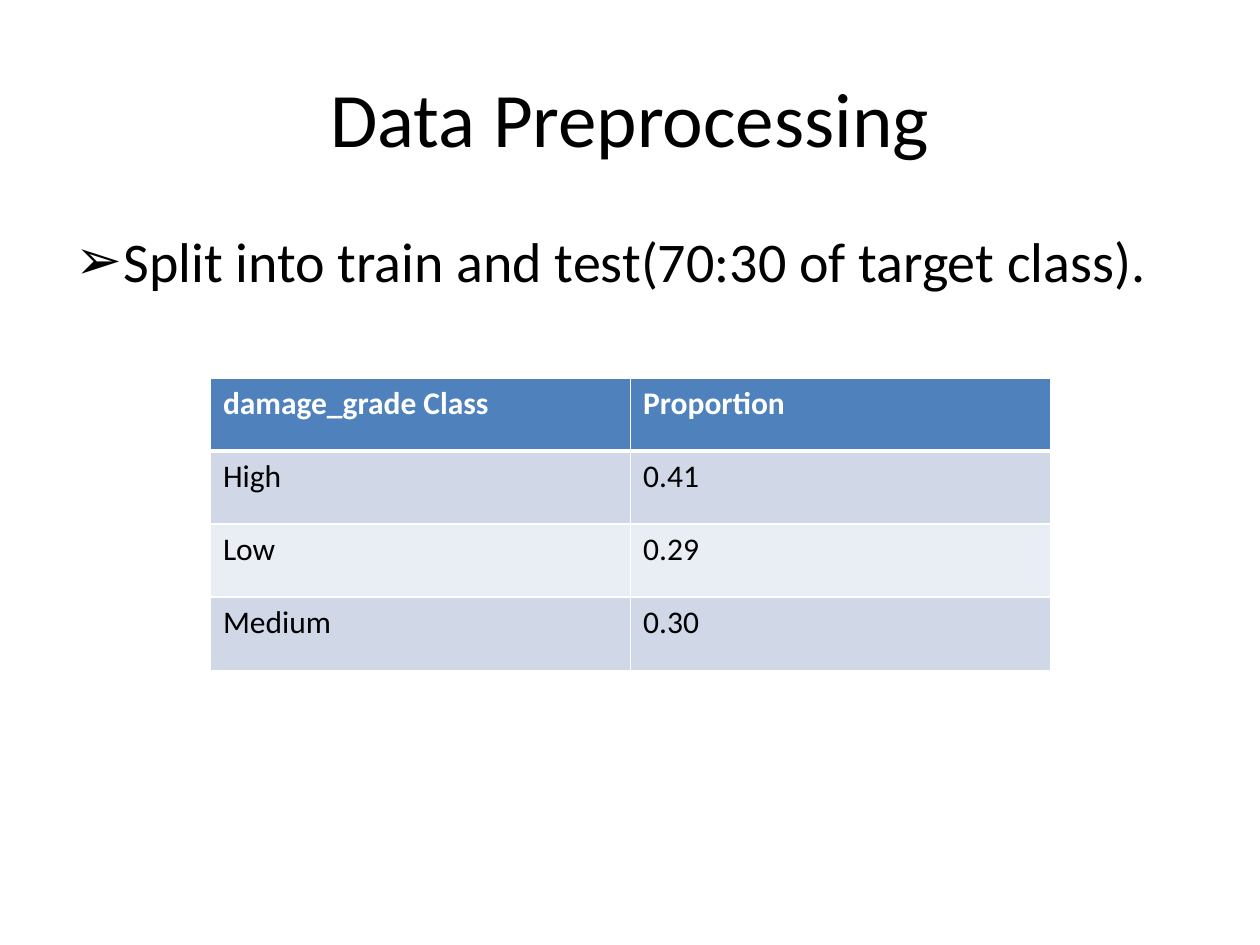
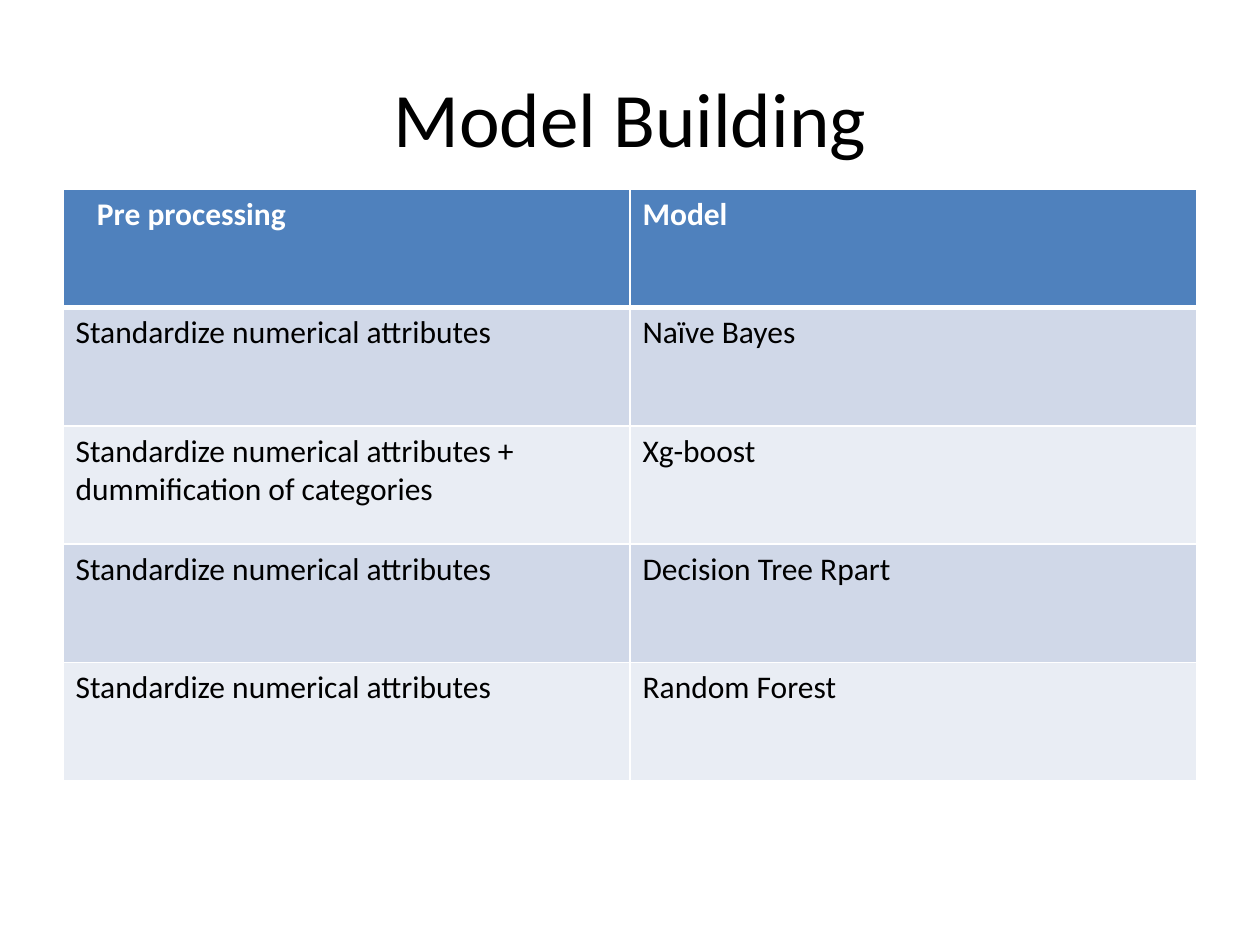
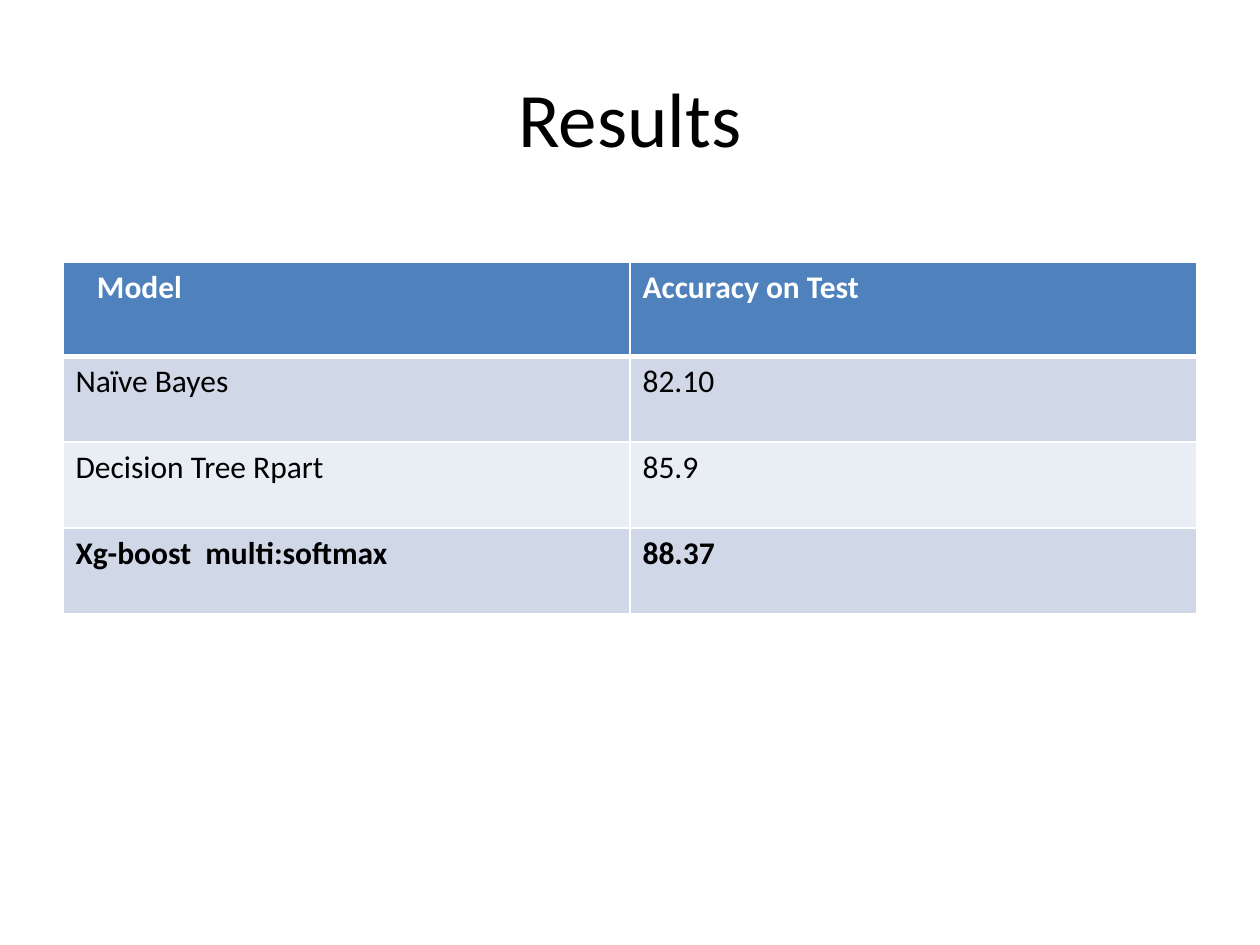
from lxml.etree import SubElement
from pptx import Presentation
from pptx.dml.color import RGBColor
from pptx.enum.text import MSO_ANCHOR, PP_ALIGN
from pptx.oxml.ns import qn
from pptx.util import Inches, Pt

FONT = "Calibri"
BLACK, WHITE = "000000", "FFFFFF"
HEADER_FILL = "4F81BD"
BAND_FILLS = ["D0D8E8", "E9EDF4"]
TITLE_BOX = (0.5, 0.3, 9, 1.25)
BODY_BOX = (0.5, 1.75, 9, 4.95)
TITLE_AND_CONTENT, TITLE_ONLY = 1, 5

SLIDES = [
    {
        "title": "Data Preprocessing",
        "bullet": "Split into train and test(70:30 of target class).",
        "rows": [
            ("damage_grade Class", "Proportion"),
            ("High", "0.41"),
            ("Low", "0.29"),
            ("Medium", "0.30"),
        ],
        "box": (1.67, 3, 6.67), "header_height": 0.58, "row_height": 0.58,
        "header_indent": 0, "bold_rows": [0],
    },
    {
        "title": "Model Building",
        "rows": [
            ("Pre processing", "Model"),
            ("Standardize numerical attributes", "Naïve Bayes"),
            ("Standardize numerical attributes + dummification of categories", "Xg-boost"),
            ("Standardize numerical attributes", "Decision Tree Rpart"),
            ("Standardize numerical attributes", "Random Forest"),
        ],
        "box": (0.5, 1.5, 9), "header_height": 0.94, "row_height": 0.94,
        "header_indent": 0.17, "bold_rows": [0],
    },
    {
        "title": "Results",
        "rows": [
            ("Model", "Accuracy on Test"),
            ("Naïve Bayes", "82.10"),
            ("Decision Tree Rpart", "85.9"),
            ("Xg-boost  multi:softmax", "88.37"),
        ],
        "box": (0.5, 2.08, 9), "header_height": 0.75, "row_height": 0.68,
        "header_indent": 0.17, "bold_rows": [0, 3],
    },
]


def rgb(color):
    return RGBColor.from_string(color)


def style(paragraph, size, color=BLACK, bold=False):
    font = paragraph.font
    font.name, font.size, font.bold = FONT, Pt(size), bold
    font.color.rgb = rgb(color)


def place(placeholder, box):
    placeholder.left, placeholder.top, placeholder.width, placeholder.height = map(Inches, box)


def add_title(slide, text):
    title = slide.shapes.title
    place(title, TITLE_BOX)
    title.text_frame.text = text
    title.text_frame.vertical_anchor = MSO_ANCHOR.MIDDLE
    heading = title.text_frame.paragraphs[0]
    heading.alignment = PP_ALIGN.CENTER
    style(heading, 44)


def add_bullet(slide, text):
    body = slide.placeholders[1]
    place(body, BODY_BOX)
    body.text_frame.text = text
    point = body.text_frame.paragraphs[0]
    style(point, 32)
    properties = point._p.get_or_add_pPr()
    properties.set("marL", str(Inches(0.38)))
    properties.set("indent", str(-Inches(0.38)))
    SubElement(properties, qn("a:buChar")).set("char", "➢")


def add_borders(cell, row):
    widths = {"lnL": 1, "lnR": 1, "lnT": 3 if row == 1 else 1, "lnB": 3 if row == 0 else 1}
    for side, width in widths.items():
        line = SubElement(cell._tc.get_or_add_tcPr(), qn(f"a:{side}"), w=str(Pt(width)))
        fill = SubElement(line, qn("a:solidFill"))
        SubElement(fill, qn("a:srgbClr"), val=WHITE)


def add_grid(slide, content):
    rows = content["rows"]
    left, top, width = content["box"]
    heights = [content["header_height"]] + [content["row_height"]] * (len(rows) - 1)
    grid = slide.shapes.add_table(
        len(rows), len(rows[0]), Inches(left), Inches(top), Inches(width), Inches(sum(heights))
    ).table
    for row, (texts, height) in enumerate(zip(rows, heights)):
        grid.rows[row].height = Inches(height)
        for column, text in enumerate(texts):
            cell = grid.cell(row, column)
            cell.text = text
            style(cell.text_frame.paragraphs[0], 18, BLACK if row else WHITE, row in content["bold_rows"])
            add_borders(cell, row)
            cell.fill.solid()
            cell.fill.fore_color.rgb = rgb(BAND_FILLS[(row - 1) % 2] if row else HEADER_FILL)
    grid.cell(0, 0).margin_left = Inches(0.1 + content["header_indent"])


deck = Presentation()
deck.slide_width, deck.slide_height = Inches(10), Inches(7.5)
for content in SLIDES:
    layout = TITLE_AND_CONTENT if "bullet" in content else TITLE_ONLY
    slide = deck.slides.add_slide(deck.slide_layouts[layout])
    add_title(slide, content["title"])
    if "bullet" in content:
        add_bullet(slide, content["bullet"])
    add_grid(slide, content)
deck.save("out.pptx")
